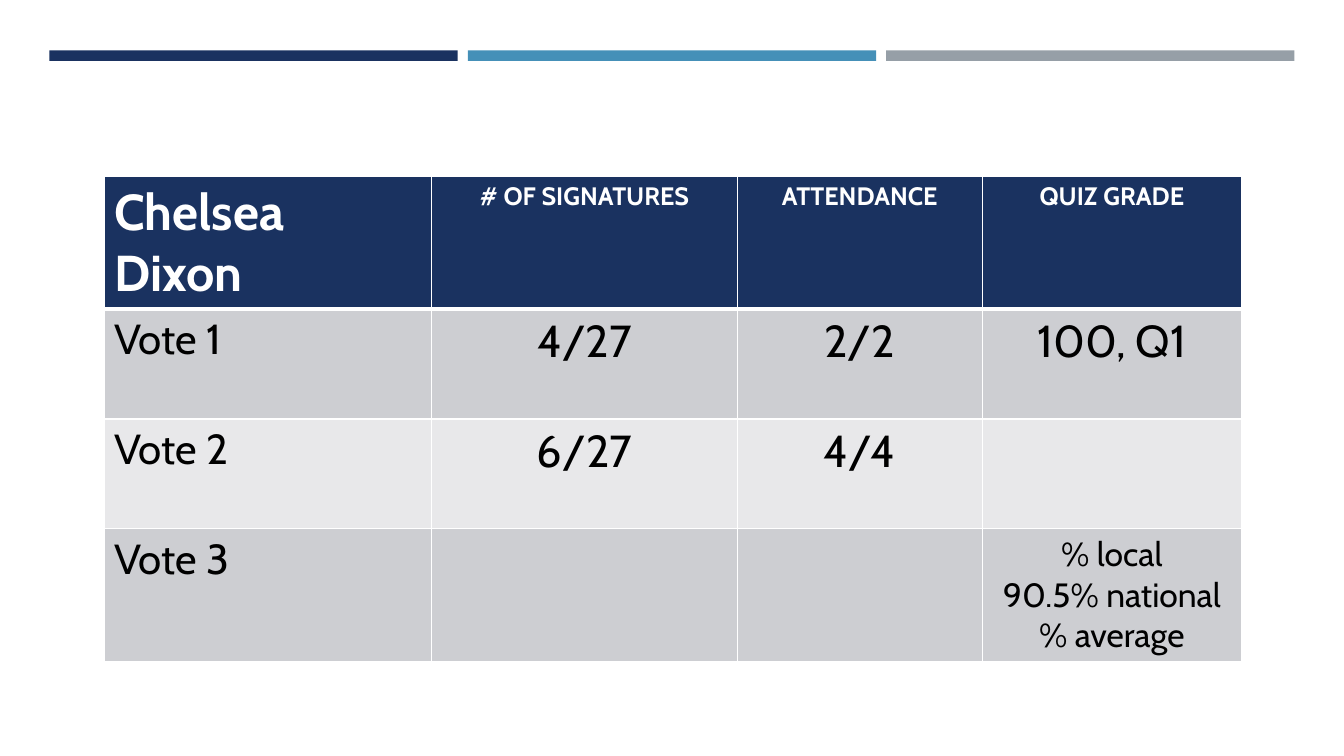
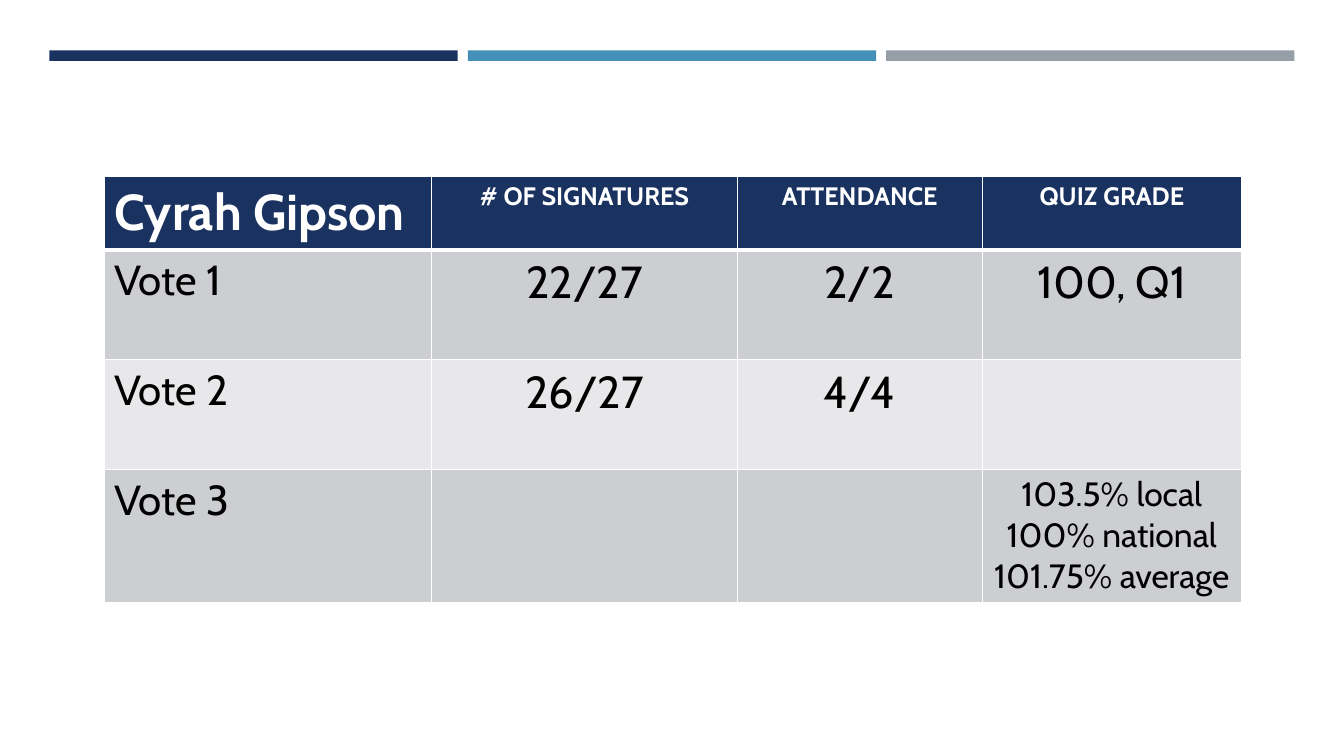
from lxml.etree import SubElement
from pptx import Presentation
from pptx.dml.color import RGBColor
from pptx.enum.shapes import MSO_SHAPE
from pptx.enum.text import PP_ALIGN
from pptx.oxml.ns import qn
from pptx.util import Inches, Pt

NAVY, BLUE, GRAY = "1A3260", "4590B8", "969FA7"
DARK, LIGHT, WHITE, BLACK = "CDCED2", "E8E8EA", "FFFFFF", "000000"
FONT = "Cabin"

# Shares of the slide's size, in percent
BAR_LEFT, BAR_TOP, BAR_WIDE, BAR_HIGH, BAR_STEP = 3.68, 6.67, 30.38, 1.4, 31.13
GRID_LEFT, GRID_TOP = 7.75, 23.33
COLS = [24.38, 22.73, 18.23, 19.28]
ROWS = [9.73, 14.53, 14.53, 14.53]

HEADS = ["# OF SIGNATURES", "ATTENDANCE", "QUIZ GRADE"]
PEOPLE = [
    ("Chelsea Dixon", "4/27", "6/27", "% local\n90.5% national\n% average"),
    ("Cyrah Gipson", "22/27", "26/27",
     "103.5% local\n100% national\n101.75% average"),
]


def color(code):
    return RGBColor.from_string(code)


class Deck:
    def __init__(self):
        self.file = Presentation()
        self.file.slide_width = Inches(13.33)
        self.file.slide_height = Inches(7.5)
        self.slide = None

    def wide(self, share):
        return round(self.file.slide_width * share / 100)

    def high(self, share):
        return round(self.file.slide_height * share / 100)

    def page(self):
        """Start a slide with the three bars at its top."""
        self.slide = self.file.slides.add_slide(self.file.slide_layouts[6])
        for i, fill in enumerate([NAVY, BLUE, GRAY]):
            self.bar(BAR_LEFT + i * BAR_STEP, fill)

    def bar(self, left, fill):
        shape = self.slide.shapes.add_shape(
            MSO_SHAPE.RECTANGLE, self.wide(left), self.high(BAR_TOP),
            self.wide(BAR_WIDE), self.high(BAR_HIGH))
        shape.shadow.inherit = False
        shape.fill.solid()
        shape.fill.fore_color.rgb = color(fill)
        shape.line.fill.background()

    def table(self, rows):
        table = self.slide.shapes.add_table(
            len(ROWS), len(COLS), self.wide(GRID_LEFT), self.high(GRID_TOP),
            self.wide(sum(COLS)), self.high(sum(ROWS))).table
        for col, share in zip(table.columns, COLS):
            col.width = self.wide(share)
        for row, share in zip(table.rows, ROWS):
            row.height = self.high(share)
        for r, texts in enumerate(rows):
            for c, text in enumerate(texts):
                self.cell(table.cell(r, c), r, c, text)

    def cell(self, cell, r, c, text):
        head = r == 0
        self.edge(cell, "lnL", 1)
        self.edge(cell, "lnR", 1)
        self.edge(cell, "lnT", 3 if r == 1 else 1)
        self.edge(cell, "lnB", 3 if head else 1)
        cell.fill.solid()
        cell.fill.fore_color.rgb = color(
            NAVY if head else DARK if r % 2 else LIGHT)
        if head:
            size = 18 if c else 36
        elif c == 0:
            size = 30
        else:
            size = 24 if "\n" in text else 32
        cell.text_frame.text = text
        for para in cell.text_frame.paragraphs:
            para.alignment = PP_ALIGN.CENTER if c else PP_ALIGN.LEFT
            for run in para.runs:
                run.font.name = FONT
                run.font.size = Pt(size)
                run.font.bold = head
                run.font.color.rgb = color(WHITE if head else BLACK)

    def edge(self, cell, side, width):
        """Draw one white border; call before the cell is filled."""
        props = cell._tc.get_or_add_tcPr()
        line = SubElement(props, qn("a:" + side), w=str(Pt(width)))
        fill = SubElement(line, qn("a:solidFill"))
        SubElement(fill, qn("a:srgbClr"), val=WHITE)


def main():
    deck = Deck()
    for name, first, second, grades in PEOPLE:
        deck.page()
        deck.table([
            [name, *HEADS],
            ["Vote 1", first, "2/2", "100, Q1"],
            ["Vote 2", second, "4/4", ""],
            ["Vote 3", "", "", grades],
        ])
    deck.file.save("out.pptx")


if __name__ == "__main__":
    main()
